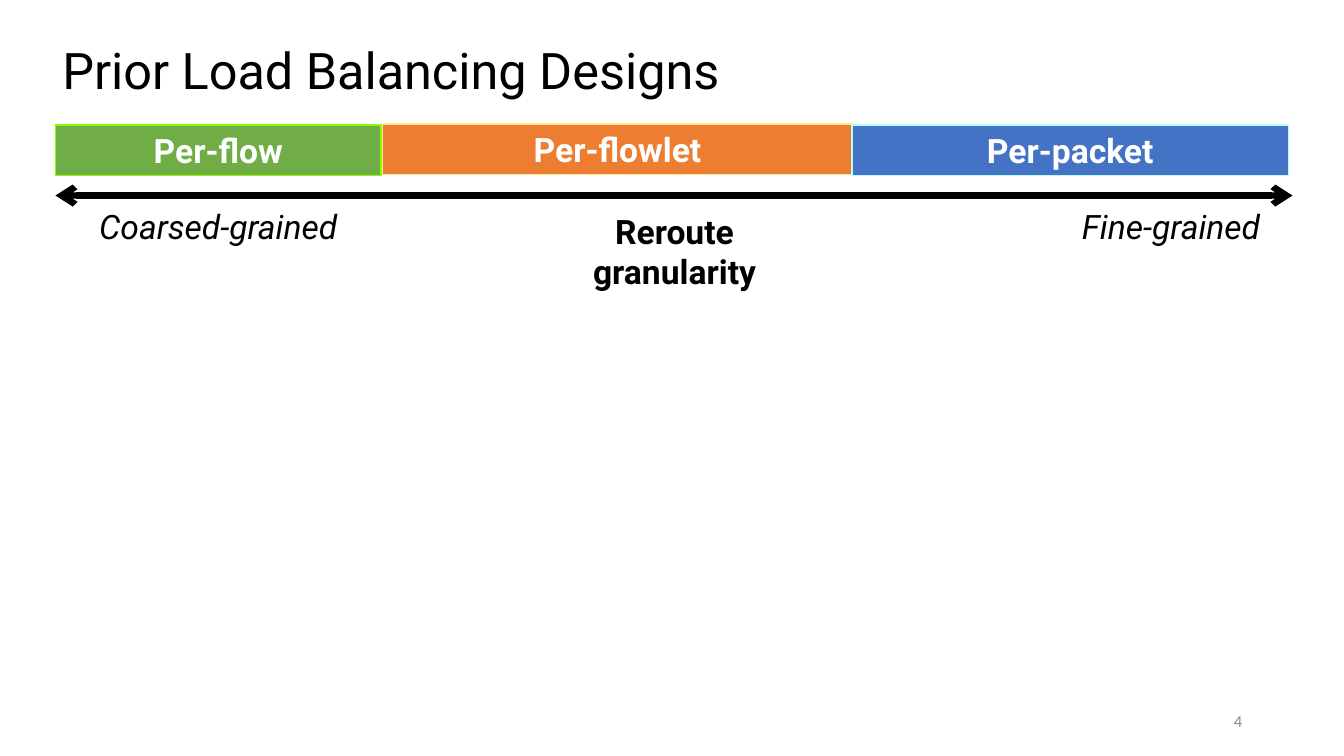
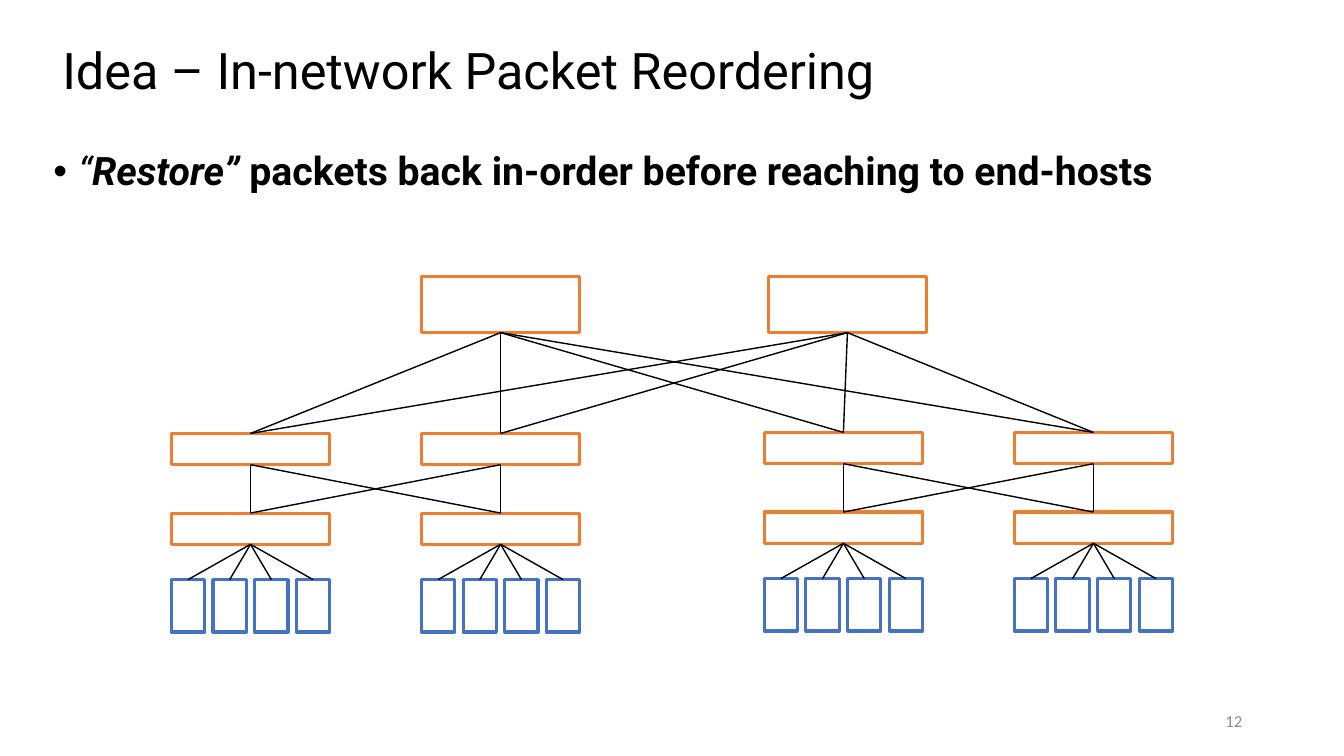
"""Build two slides on load balancing granularity and in-network packet reordering."""
from itertools import product

from lxml import etree
from pptx import Presentation
from pptx.dml.color import RGBColor
from pptx.enum.shapes import MSO_CONNECTOR, MSO_SHAPE
from pptx.enum.text import MSO_ANCHOR, PP_ALIGN
from pptx.oxml.ns import qn
from pptx.util import Pt

RECTANGLE = MSO_SHAPE.RECTANGLE
STRAIGHT = MSO_CONNECTOR.STRAIGHT
TOP, MIDDLE = MSO_ANCHOR.TOP, MSO_ANCHOR.MIDDLE
LEFT, CENTER, RIGHT = PP_ALIGN.LEFT, PP_ALIGN.CENTER, PP_ALIGN.RIGHT

PX = 9144
SLIDE_SIZE = (1333, 750)
COLORS = {
    "black": "000000", "white": "FFFFFF", "grey": "8C8C8C",
    "orange": "ED7D31", "green": "70AD47", "blue": "4472C4",
    "orange edge": "FFE69D", "green edge": "8EFA00", "blue edge": "B5FFF9",
}
BODY_FONT, NUMBER_FONT = "Roboto", "Calibri"
TITLE_AREA = (52, 0, 1236, 145)
NUMBER_AREA = (942, 695, 300, 40)

GRANULARITY_TITLE, GRANULARITY_NUMBER = "Prior Load Balancing Designs", "4"
DESIGNS = [
    ("Per-flowlet", (379, 123, 467, 50), "orange"),
    ("Per-flow", (55, 124, 323, 50), "green"),
    ("Per-packet", (845, 124, 433, 50), "blue"),
]
AXIS = ((55, 194), (1282, 194))
AXIS_LABELS = [
    (["Fine-grained"], (1062, 199, 199, 50), {"italic": True}),
    (["Coarsed-grained"], (87, 199, 259, 50), {"italic": True}),
    (["Reroute", "granularity"], (577, 204, 184, 91), {"bold": True}),
]

REORDERING_TITLE, REORDERING_NUMBER = "Idea – In-network Packet Reordering", "12"
IDEA_AREA = (43, 146, 1272, 67)
IDEA = [
    ("“", {"italic": True}),
    ("Restore”", {"italic": True, "bold": True}),
    (" packets back in-order before reaching to end-hosts", {"bold": True}),
]
SWITCH_WIDTH, SWITCH_HEIGHT = 157, 31
CORE_LEFTS, CORE_TOP, CORE_HEIGHT = (418, 762), 274, 56
PODS = [((170, 418), 430), ((758, 1006), 429)]
EDGE_OFFSET, HOST_OFFSET = 79, 145
HOST_COUNT, HOST_WIDTH, HOST_HEIGHT = 4, 33, 52


def color(name):
    return RGBColor.from_string(COLORS[name])


def scaled(lengths):
    return [round(length * PX) for length in lengths]


def add_span(para, text, size, ink="black", font=BODY_FONT, bold=False, italic=False):
    span = para.add_run()
    span.text = text
    span.font.size, span.font.name = Pt(size), font
    span.font.bold, span.font.italic = bold, italic
    span.font.color.rgb = color(ink)


def add_text(page, area, lines, size, align=LEFT, anchor=TOP, wrap=True, spacing=None, **style):
    box = page.shapes.add_textbox(*scaled(area))
    box.text_frame.word_wrap = wrap
    box.text_frame.vertical_anchor = anchor
    para = box.text_frame.paragraphs[0]
    para.alignment = align
    if spacing:
        para.line_spacing = spacing
    for index, line in enumerate(lines):
        if index:
            para.add_line_break()
        add_span(para, line, size, **style)
    return para


def add_box(page, area, fill, edge, weight):
    box = page.shapes.add_shape(RECTANGLE, *scaled(area))
    box.shadow.inherit = False
    box.fill.solid()
    box.fill.fore_color.rgb = color(fill)
    box.line.color.rgb = color(edge)
    box.line.width = Pt(weight)
    return box


def add_line(page, start, end, weight=1, arrows=False):
    link = page.shapes.add_connector(STRAIGHT, *scaled(start + end))
    link.line.color.rgb = color("black")
    link.line.width = Pt(weight)
    if arrows:
        outline = link.line._get_or_add_ln()
        for tip in ("a:headEnd", "a:tailEnd"):
            etree.SubElement(outline, qn(tip), type="arrow")
    etree.SubElement(link._element.spPr, qn("a:effectLst"))


def add_page(deck, title, number):
    page = deck.slides.add_slide(deck.slide_layouts[6])
    add_text(page, TITLE_AREA, [title], 36, anchor=MIDDLE, spacing=0.9)
    add_text(page, NUMBER_AREA, [number], 12, align=RIGHT, anchor=MIDDLE,
             ink="grey", font=NUMBER_FONT)
    return page


def add_bullet(para):
    properties = para._p.get_or_add_pPr()
    properties.set("marL", str(25 * PX))
    properties.set("indent", str(-25 * PX))
    etree.SubElement(properties, qn("a:buFont"), typeface="Arial")
    etree.SubElement(properties, qn("a:buChar"), char="•")


def add_node(page, area, edge="orange"):
    add_box(page, area, "white", edge, 2.25)
    left, top, width, height = area
    middle = left + width / 2
    return (middle, top), (middle, top + height)


def build_granularity(deck):
    page = add_page(deck, GRANULARITY_TITLE, GRANULARITY_NUMBER)
    for name, area, fill in DESIGNS:
        box = add_box(page, area, fill, f"{fill} edge", 1)
        box.text_frame.vertical_anchor = MIDDLE
        para = box.text_frame.paragraphs[0]
        para.alignment = CENTER
        add_span(para, name, 24, ink="white", bold=True)
    add_line(page, *AXIS, weight=4.5, arrows=True)
    for lines, area, style in AXIS_LABELS:
        add_text(page, area, lines, 24, align=CENTER, wrap=False, **style)


def build_reordering(deck):
    page = add_page(deck, REORDERING_TITLE, REORDERING_NUMBER)
    idea = add_text(page, IDEA_AREA, [], 28, spacing=0.9)
    add_bullet(idea)
    for text, style in IDEA:
        add_span(idea, text, 28, **style)

    links = []
    cores = [add_node(page, (left, CORE_TOP, SWITCH_WIDTH, CORE_HEIGHT)) for left in CORE_LEFTS]
    host_pitch = (SWITCH_WIDTH - HOST_WIDTH) / (HOST_COUNT - 1)
    for lefts, top in PODS:
        uppers, edges = [
            [add_node(page, (left, row, SWITCH_WIDTH, SWITCH_HEIGHT)) for left in lefts]
            for row in (top, top + EDGE_OFFSET)
        ]
        links += [*product(cores, uppers), *product(uppers, edges)]
        for left, edge in zip(lefts, edges):
            for index in range(HOST_COUNT):
                area = (left + index * host_pitch, top + HOST_OFFSET, HOST_WIDTH, HOST_HEIGHT)
                links.append((edge, add_node(page, area, "blue")))
    for (_, bottom), (top, _) in links:
        add_line(page, bottom, top)


def main():
    deck = Presentation()
    deck.slide_width, deck.slide_height = scaled(SLIDE_SIZE)
    build_granularity(deck)
    build_reordering(deck)
    deck.save("out.pptx")


if __name__ == "__main__":
    main()
